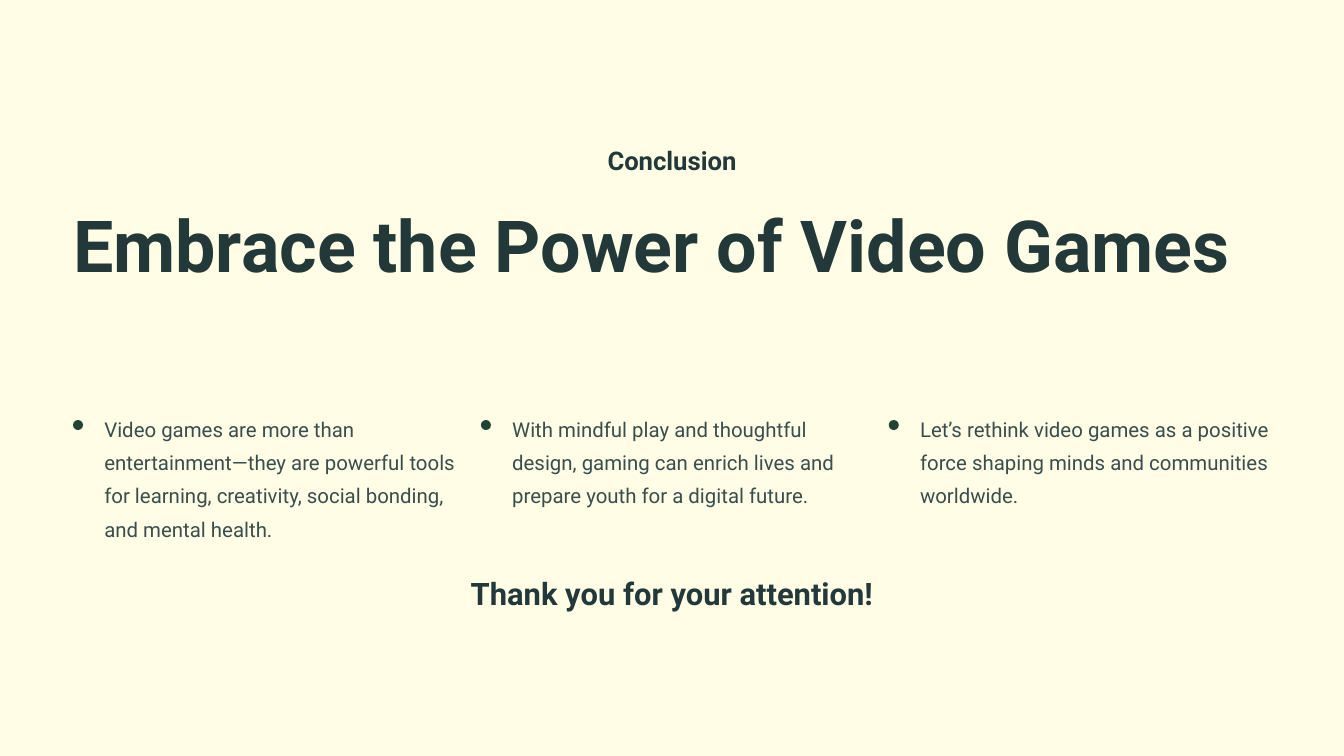
import pptx
import pptx.dml.color
import pptx.enum.shapes
import pptx.enum.text
import pptx.util

Pt = pptx.util.Pt
RGB = pptx.dml.color.RGBColor.from_string
ALIGN = pptx.enum.text.PP_ALIGN

COLORS = {"cream": "FFFDE6", "heading": "233939", "body": "3B4E4E", "dot": "224435"}
LEFT = 62.6
COLUMN_PITCH = 349.6
DOT_SIZE = 8.6
TEXT_INDENT = 26.8
POINTS = [
    "Video games are more than entertainment—they are powerful tools for "
    "learning, creativity, social bonding, and mental health.",
    "With mindful play and thoughtful design, gaming can enrich lives and "
    "prepare youth for a digital future.",
    "Let’s rethink video games as a positive force shaping minds and "
    "communities worldwide.",
]


def place_text(box, bounds, text, size, line_spacing, color="heading", align=ALIGN.LEFT):
    """Position a text shape and fill it with one formatted run."""
    box.left, box.top, box.width, box.height = (Pt(length) for length in bounds)
    frame = box.text_frame
    frame.margin_left = frame.margin_top = frame.margin_right = frame.margin_bottom = 0
    frame.word_wrap = True
    frame.auto_size = pptx.enum.text.MSO_AUTO_SIZE.NONE
    frame.vertical_anchor = pptx.enum.text.MSO_ANCHOR.TOP
    paragraph = frame.paragraphs[0]
    paragraph.alignment = align
    paragraph.line_spacing = Pt(line_spacing)
    run = paragraph.add_run()
    run.text = text
    run.font.name = "Roboto"
    run.font.size = Pt(size)
    run.font.bold = color == "heading"
    run.font.color.rgb = RGB(COLORS[color])


deck = pptx.Presentation()
deck.slide_width, deck.slide_height = Pt(1152), Pt(648)
slide = deck.slides.add_slide(deck.slide_layouts.get_by_name("Title Only"))
slide.background.fill.solid()
slide.background.fill.fore_color.rgb = RGB(COLORS["cream"])
shapes = slide.shapes

place_text(shapes.title, (LEFT, 169.2, 1026.8, 154), "Embrace the Power of Video Games", 61.5, 77)

section = shapes.add_textbox(0, 0, 0, 0)
place_text(section, (464.4, 123.1, 223.2, 28), "Conclusion", 22, 27.5, align=ALIGN.CENTER)

for column, point in enumerate(POINTS):
    x = LEFT + column * COLUMN_PITCH
    dot = shapes.add_shape(
        pptx.enum.shapes.MSO_SHAPE.ROUNDED_RECTANGLE, Pt(x), Pt(360), Pt(DOT_SIZE), Pt(DOT_SIZE)
    )
    dot.adjustments[0] = 0.5
    dot.shadow.inherit = False
    dot.fill.solid()
    dot.fill.fore_color.rgb = RGB(COLORS["dot"])
    dot.line.fill.background()
    takeaway = shapes.add_textbox(0, 0, 0, 0)
    place_text(takeaway, (x + TEXT_INDENT, 350, 301, 114.4), point, 17.5, 28.5, color="body")

thanks = shapes.add_textbox(0, 0, 0, 0)
place_text(thanks, (365.4, 491, 421.2, 33.8), "Thank you for your attention!", 26.5, 33, align=ALIGN.CENTER)

deck.save("out.pptx")
